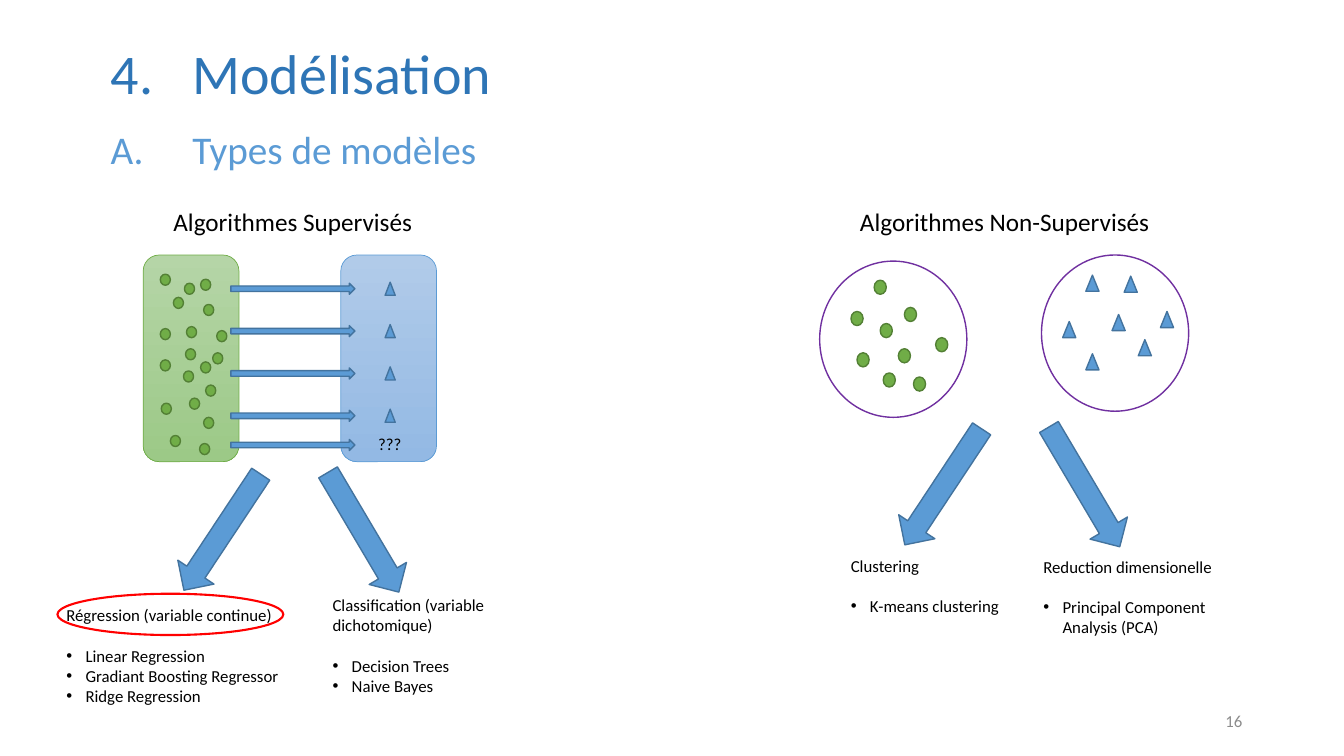
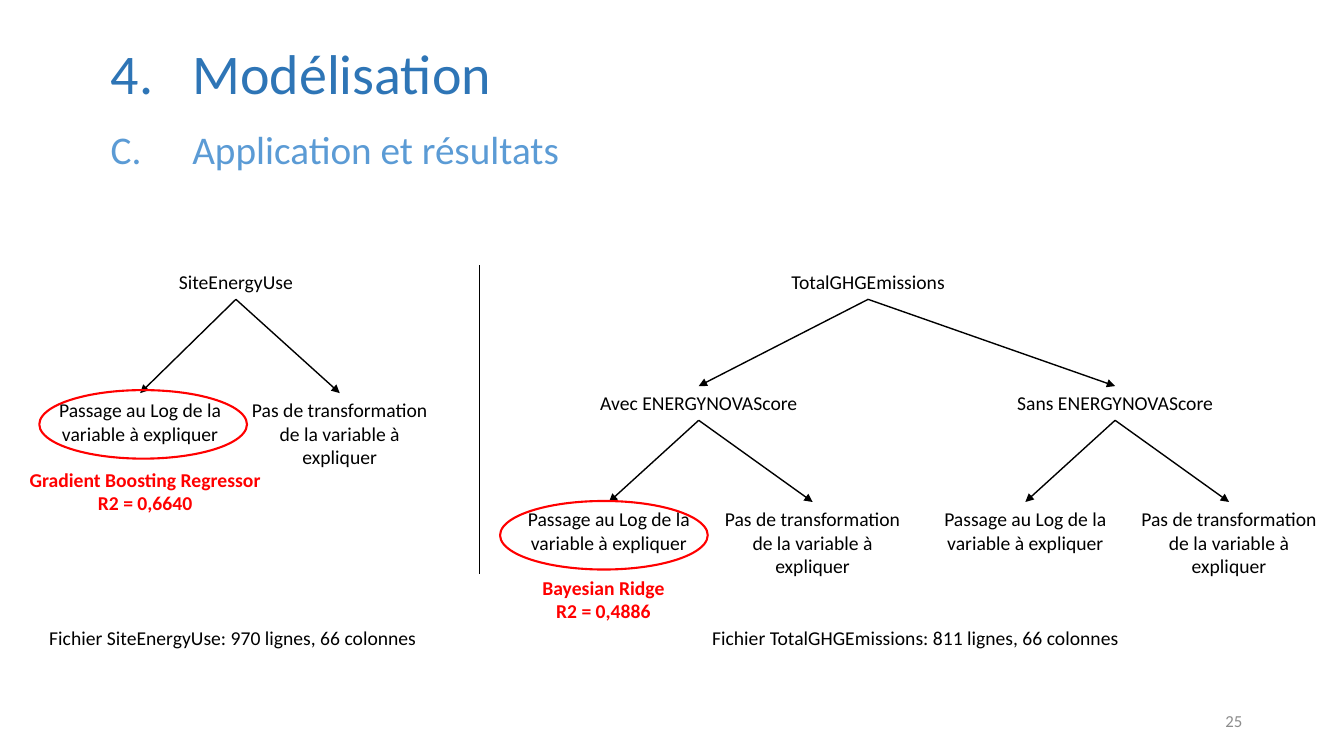
from lxml import etree
from pptx import Presentation
from pptx import util as u
from pptx.dml.color import RGBColor
from pptx.enum import shapes, text
from pptx.oxml import ns

BLACK = RGBColor(0x00, 0x00, 0x00)
GREY = RGBColor(0x8C, 0x8C, 0x8C)
RED = RGBColor(0xFF, 0x00, 0x00)
PURPLE = RGBColor(0x70, 0x30, 0xA0)
BLUE = RGBColor(0x5B, 0x9B, 0xD5)
NAVY = RGBColor(0x2E, 0x75, 0xB6)
STEEL = RGBColor(0x43, 0x73, 0x9E)
GREEN = RGBColor(0x70, 0xAD, 0x47)
MOSS = RGBColor(0x53, 0x80, 0x35)
SKY = (RGBColor(0xB1, 0xCB, 0xE9), RGBColor(0x93, 0xB9, 0xE4))
LEAF = (RGBColor(0xB5, 0xD5, 0xA7), RGBColor(0x9C, 0xC9, 0x87))

FONT = "Calibri"
KIND = shapes.MSO_SHAPE
ALIGN = text.PP_ALIGN
LOG = "Passage au Log de la variable à expliquer"
RAW = "Pas de transformation de la variable à expliquer"


def inch(*sizes):
    return [u.Inches(size) for size in sizes]


def add(parent, tag, **traits):
    return etree.SubElement(parent, ns.qn(tag), **traits)


def write(para, words, size=12, color=BLACK, bold=False, align=ALIGN.LEFT,
          space=1, gap=0, mark=None, start=None, indent=0, hang=0):
    run = para.add_run()
    run.text = words
    run.font.name = FONT
    run.font.size = u.Pt(size)
    run.font.bold = bold
    run.font.color.rgb = color
    para.alignment = align
    para.line_spacing = space
    para.space_before = u.Pt(gap)
    if mark:
        props = para._p.get_or_add_pPr()
        props.set("marL", str(u.Inches(indent)))
        props.set("indent", str(-u.Inches(hang)))
        if start:
            add(props, "a:buFont", typeface="+mj-lt")
            add(props, "a:buAutoNum", type=mark, startAt=str(start))
        else:
            add(props, "a:buFont", typeface="Arial")
            add(props, "a:buChar", char=mark)


class Deck:
    def __init__(self):
        self.file = Presentation()
        self.file.slide_width, self.file.slide_height = inch(13.33, 7.5)
        self.slide = None

    def page(self, head, order, number):
        self.slide = self.file.slides.add_slide(self.file.slide_layouts[5])
        title = self.slide.shapes.title
        title.left, title.top, title.width, title.height = inch(0, 0, 13.33, 1.62)
        frame = title.text_frame
        frame.auto_size = text.MSO_AUTO_SIZE.NONE
        frame.vertical_anchor = text.MSO_ANCHOR.TOP
        write(frame.paragraphs[0], "Modélisation", size=40, color=NAVY, space=1.5,
              mark="arabicPeriod", start=4, indent=1.81, hang=0.81)
        self.label([head], 0, 1.19, 13.33, 0.48, size=28, color=BLUE,
                   mark="alphaUcPeriod", start=order, indent=1.81, hang=0.81)
        foot = self.label([number], 9.42, 6.95, 3, 0.4, color=GREY, align=ALIGN.RIGHT)
        foot.text_frame.vertical_anchor = text.MSO_ANCHOR.MIDDLE

    def label(self, lines, x, y, w, h, **style):
        box = self.slide.shapes.add_textbox(*inch(x, y, w, h))
        frame = box.text_frame
        frame.word_wrap = True
        for row, words in enumerate(lines):
            para = frame.add_paragraph() if row else frame.paragraphs[0]
            write(para, words, **style)
        return box

    def list(self, head, items, x, y, w, h):
        frame = self.label([head], x, y, w, h).text_frame
        for row, words in enumerate(items):
            write(frame.add_paragraph(), words, gap=0 if row else 14.6,
                  mark="•", indent=0.19, hang=0.19)

    def shape(self, kind, x, y, w, h, fill=None, line=STEEL, weight=1, turn=0):
        item = self.slide.shapes.add_shape(kind, *inch(x, y, w, h))
        item.shadow.inherit = False
        item.rotation = turn
        item.line.color.rgb = line
        item.line.width = u.Pt(weight)
        if fill is None:
            item.fill.background()
        elif isinstance(fill, RGBColor):
            item.fill.solid()
            item.fill.fore_color.rgb = fill
        else:
            item.fill.gradient()
            item.fill.gradient_angle = 270
            for stop, color in zip(item.fill.gradient_stops, fill):
                stop.color.rgb = color

    def dots(self, spots, w, h):
        for x, y in spots:
            self.shape(KIND.FLOWCHART_CONNECTOR, x, y, w, h, GREEN, MOSS)

    def peaks(self, spots, w, h):
        for x, y in spots:
            self.shape(KIND.ISOSCELES_TRIANGLE, x, y, w, h, BLUE)

    def fork(self, x, y):
        for shift, turn in ((0, 33.5), (1.4, 329.4)):
            self.shape(KIND.DOWN_ARROW, x + shift, y, 0.43, 1.38, BLUE, turn=turn)

    def node(self, words, mid, y, w, rows=1):
        return self.label([words], mid - w / 2, y, w, 0.1 + 0.24 * rows,
                          size=14, align=ALIGN.CENTER)

    def line(self, x1=0, y1=0, x2=0, y2=0, weight=1):
        link = self.slide.shapes.add_connector(
            shapes.MSO_CONNECTOR.STRAIGHT, *inch(x1, y1, x2, y2))
        link.line.color.rgb = BLACK
        link.line.width = u.Pt(weight)
        add(link._element.spPr, "a:effectLst")
        return link

    def join(self, top, low):
        link = self.line()
        link.begin_connect(top, 2)
        link.end_connect(low, 0)
        add(link._element.spPr.find(ns.qn("a:ln")), "a:tailEnd", type="triangle")

    def split(self, top, left, right, y):
        self.join(top, self.node(LOG, left, y, 1.88, 2))
        self.join(top, self.node(RAW, right, y, 2, 3))

    def score(self, name, value, x, y, w):
        self.label([name, "R2 = " + value], x, y, w, 0.57, size=14,
                   color=RED, bold=True, align=ALIGN.CENTER)


def types(deck):
    deck.page("Types de modèles", 1, "16")
    for words, x, w in (("Algorithmes Supervisés", 1.45, 2.91),
                        ("Algorithmes Non-Supervisés", 8.13, 3.67)):
        deck.label([words], x, 2, w, 0.4, size=18, align=ALIGN.CENTER)

    deck.dots([(8.44, 3.09), (8.67, 2.78), (8.97, 3.05), (8.73, 3.21), (8.91, 3.46),
               (8.5, 3.5), (8.76, 3.7), (9.28, 3.35), (9.06, 3.74)], 0.12, 0.14)
    deck.peaks([(10.77, 2.73), (10.54, 3.19), (11.03, 3.12), (11.15, 2.74),
                (10.77, 3.51), (11.29, 3.37), (11.51, 3.09)], 0.13, 0.16)
    for x, y in ((8.13, 2.59), (10.33, 2.53)):
        deck.shape(KIND.FLOWCHART_CONNECTOR, x, y, 1.46, 1.55, line=PURPLE)
    deck.fork(9.14, 4.14)
    deck.list("Clustering", ["K-means clustering"], 8.34, 5.46, 1.72, 0.71)
    deck.list("Reduction dimensionelle", ["Principal Component Analysis (PCA)"],
              10.25, 5.47, 1.94, 0.91)

    for x, fill, line in ((3.38, SKY, BLUE), (1.42, LEAF, GREEN)):
        deck.shape(KIND.ROUNDED_RECTANGLE, x, 2.53, 0.95, 2.05, fill, line, 0.5)
    rows = [2.8 + 0.42 * row for row in range(4)]
    deck.peaks([(3.82, y) for y in rows], 0.1, 0.13)
    deck.label(["???"], 3.56, 4.25, 0.61, 0.34, align=ALIGN.CENTER)
    deck.dots([(1.59, 2.72), (1.72, 2.95), (1.99, 2.77), (1.59, 3.26), (1.84, 3.46),
               (2.02, 3.02), (1.85, 3.24), (1.59, 3.57), (1.82, 3.68), (1.83, 2.81),
               (2.11, 3.5), (1.6, 4), (1.88, 3.95), (2.15, 3.28), (2.02, 4.14),
               (1.99, 3.59), (1.69, 4.32), (2.04, 3.82), (1.98, 4.4)], 0.1, 0.11)
    for y in rows + [4.35]:
        deck.shape(KIND.RIGHT_ARROW, 2.29, y + 0.01, 1.23, 0.11, BLUE)
    deck.fork(1.99, 4.59)
    deck.list("Régression (variable continue)",
              ["Linear Regression", "Gradiant Boosting Regressor", "Ridge Regression"],
              0.56, 5.95, 2.47, 1.11)
    deck.list("Classification (variable dichotomique)", ["Decision Trees", "Naive Bayes"],
              3.2, 5.85, 2.25, 1.11)
    deck.shape(KIND.FLOWCHART_CONNECTOR, 0.57, 5.89, 2.24, 0.41, line=RED, weight=1.5)


def results(deck):
    deck.page("Application et résultats", 3, "25")
    site = deck.node("SiteEnergyUse", 2.34, 2.63, 1.37)
    deck.split(site, 1.39, 3.37, 3.9)
    total = deck.node("TotalGHGEmissions", 8.61, 2.63, 2.21)
    for words, mid in (("Avec ENERGYNOVAScore", 6.93), ("Sans ENERGYNOVAScore", 11.06)):
        case = deck.node(words, mid, 3.83, 2.22)
        deck.join(total, case)
        deck.split(case, mid - 0.89, mid + 1.13, 4.98)
    deck.line(4.75, 2.63, 4.75, 5.69, 0.5)
    for x, y in ((0.39, 3.87), (4.96, 4.97)):
        deck.shape(KIND.OVAL, x, y, 2.06, 0.68, line=RED, weight=1.5)
    deck.score("Gradient Boosting Regressor", "0,6640", 0.15, 4.59, 2.58)
    deck.score("Bayesian Ridge", "0,4886", 5.26, 5.66, 1.45)
    deck.node("Fichier SiteEnergyUse: 970 lignes, 66 colonnes", 2.31, 6.16, 4.52)
    deck.node("Fichier TotalGHGEmissions: 811 lignes, 66 colonnes", 9.08, 6.16, 5.19)


def main():
    deck = Deck()
    types(deck)
    results(deck)
    deck.file.save("out.pptx")


if __name__ == "__main__":
    main()
